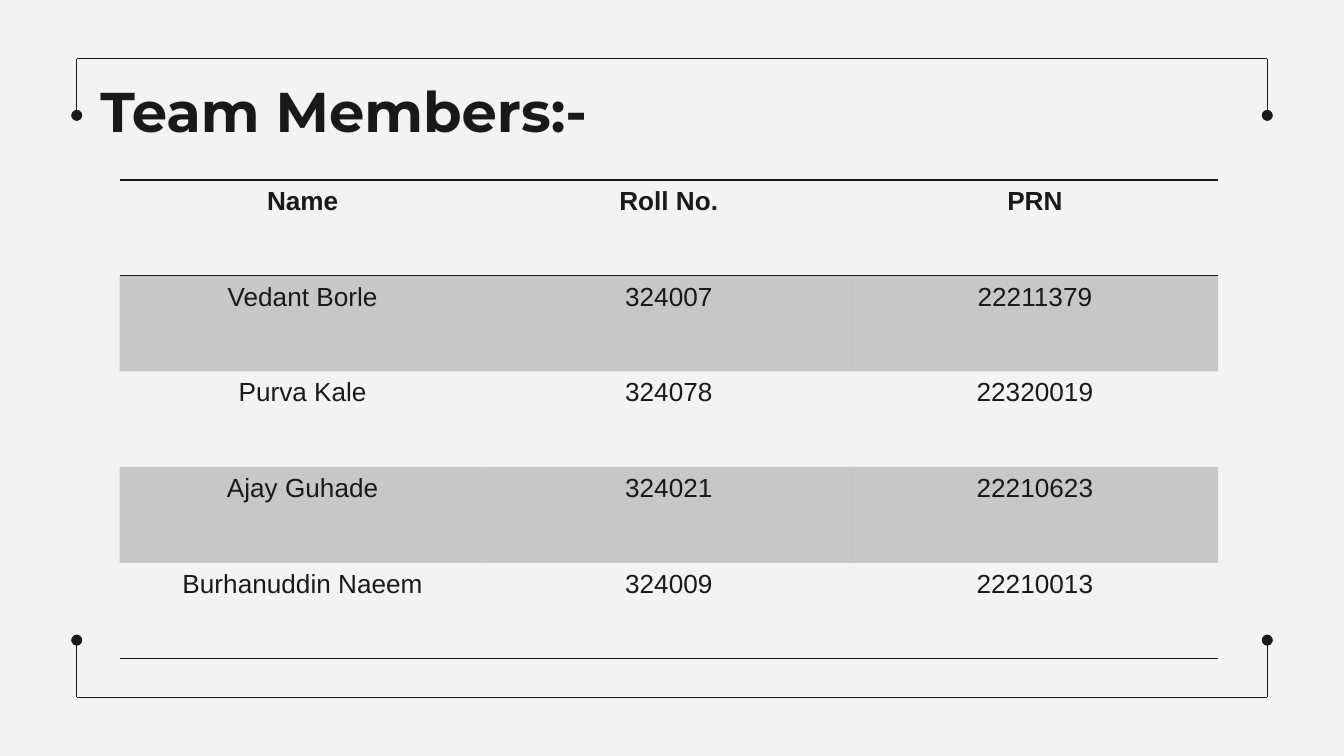
from typing import NamedTuple

from lxml import etree
from pptx import Presentation
from pptx import util as u
from pptx.dml.color import RGBColor
from pptx.enum import shapes, text
from pptx.oxml.ns import qn

Cm, Pt = u.Cm, u.Pt
INK = RGBColor(0x19, 0x19, 0x19)
PAPER = RGBColor(0xF3, 0xF3, 0xF3)
PLAIN_TABLE = "{2D5ABB26-0587-4C30-8999-92F81FD0307C}"

# Frame edges and the height where its side lines stop, in cm
LEFT, RIGHT = 1.45, 23.95
COLUMN_WIDTH, ROW_HEIGHT = 6.92, 1.81


class Bracket(NamedTuple):
    edge: float
    dot: float


class Member(NamedTuple):
    name: str
    roll_no: str
    prn: str


BRACKETS = [Bracket(1.11, 2.18), Bracket(13.18, 12.1)]
HEADER = Member("Name", "Roll No.", "PRN")
MEMBERS = [
    Member("Vedant Borle", "324007", "22211379"),
    Member("Purva Kale", "324078", "22320019"),
    Member("Ajay Guhade", "324021", "22210623"),
    Member("Burhanuddin Naeem", "324009", "22210013"),
]


def draw_line(slide, x1: float, y1: float, x2: float, y2: float, dot: bool = False) -> None:
    line = slide.shapes.add_connector(
        shapes.MSO_CONNECTOR.STRAIGHT, Cm(x1), Cm(y1), Cm(x2), Cm(y2))
    line.line.color.rgb = INK
    line.line.width = Pt(0.75)
    if dot:
        etree.SubElement(line.line._get_or_add_ln(), qn("a:tailEnd"), type="oval")
    etree.SubElement(line._element.spPr, qn("a:effectLst"))


def draw_bracket(slide, bracket: Bracket) -> None:
    draw_line(slide, LEFT, bracket.edge, RIGHT, bracket.edge)
    for x in (LEFT, RIGHT):
        draw_line(slide, x, bracket.edge, x, bracket.dot, dot=True)


def style_font(font, name: str, size: float, bold: bool) -> None:
    font.name, font.size, font.bold = name, Pt(size), bold
    font.color.rgb = INK


def draw_title(slide, wording: str) -> None:
    title = slide.shapes.add_textbox(Cm(1.65), Cm(1.37), Cm(10.39), Cm(1.6))
    frame = title.text_frame
    frame.word_wrap = True
    frame.vertical_anchor = text.MSO_ANCHOR.BOTTOM
    frame.margin_left = frame.margin_right = Cm(0.25)
    frame.margin_top = frame.margin_bottom = Cm(0.25)
    frame.text = wording
    style_font(frame.paragraphs[0].font, "Montserrat", 30, True)


def set_rules(cell, *sides: str) -> None:
    """Rule the given sides; borders must come before the cell's fill."""
    for place, side in enumerate(sides):
        border = etree.Element(qn(f"a:{side}"), w=str(Pt(1)))
        fill = etree.SubElement(border, qn("a:solidFill"))
        etree.SubElement(fill, qn("a:srgbClr"), val=str(INK))
        cell._tc.get_or_add_tcPr().insert(place, border)


def shade(cell, banded: bool) -> None:
    if not banded:
        cell.fill.background()
        return
    cell.fill.solid()
    cell.fill.fore_color.rgb = INK
    colour = cell._tc.tcPr.find(f".//{qn('a:srgbClr')}")
    etree.SubElement(colour, qn("a:alpha"), val="20000")


def draw_table(slide, rows: list[Member]) -> None:
    columns = len(HEADER)
    table = slide.shapes.add_table(
        len(rows), columns, Cm(2.26), Cm(3.4),
        Cm(COLUMN_WIDTH * columns), Cm(ROW_HEIGHT * len(rows))).table
    table._tbl.tblPr.find(qn("a:tableStyleId")).text = PLAIN_TABLE
    for column in table.columns:
        column.width = Cm(COLUMN_WIDTH)
    for r, member in enumerate(rows):
        table.rows[r].height = Cm(ROW_HEIGHT)
        for c, value in enumerate(member):
            cell = table.cell(r, c)
            cell.text = value
            entry = cell.text_frame.paragraphs[0]
            entry.alignment = text.PP_ALIGN.CENTER
            style_font(entry.font, "Arial", 14, r == 0)
            shade(cell, banded=r % 2 == 1)
            if r == 0:
                set_rules(cell, "lnT", "lnB")
            elif r == len(rows) - 1:
                set_rules(cell, "lnB")


def main() -> None:
    deck = Presentation()
    deck.slide_width, deck.slide_height = Cm(25.4), Cm(14.29)
    slide = deck.slides.add_slide(deck.slide_layouts[6])
    slide.background.fill.solid()
    slide.background.fill.fore_color.rgb = PAPER

    # Frame
    for bracket in BRACKETS:
        draw_bracket(slide, bracket)

    # Content
    draw_title(slide, "Team Members:-")
    draw_table(slide, [HEADER, *MEMBERS])

    deck.save("out.pptx")


if __name__ == "__main__":
    main()
